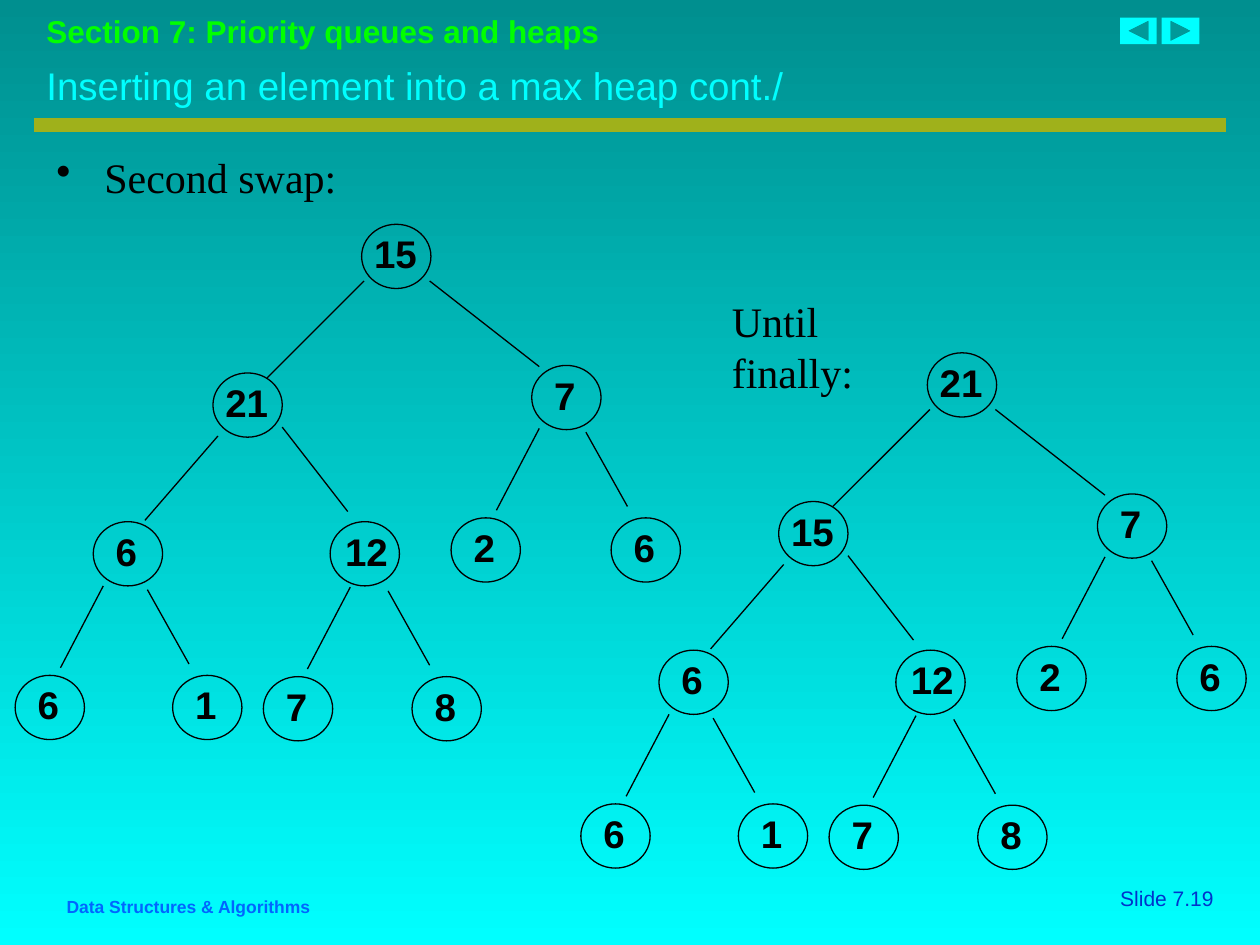
from dataclasses import dataclass

import pptx
import pptx.dml.color
import pptx.enum.shapes
import pptx.enum.text
import pptx.oxml
import pptx.oxml.ns
import pptx.util
from pptx.util import Inches

SHAPES = pptx.enum.shapes.MSO_SHAPE
ALIGN = pptx.enum.text.PP_ALIGN
ANCHOR = pptx.enum.text.MSO_ANCHOR


@dataclass(frozen=True)
class Style:
    font: str
    size: int
    color: str
    bold: bool = False


@dataclass(frozen=True)
class Theme:
    background_top: str = "008F8F"
    background_bottom: str = "00FFFF"
    button: str = "00FFFF"
    rule: str = "9FB11B"
    ink: str = "000000"
    rule_width: float = 8
    line_width: float = 0.75
    section: Style = Style("Arial", 18, "00FF00", True)
    title: Style = Style("Arial", 22, "00FFFF")
    body: Style = Style("Times New Roman", 24, "000000")
    node: Style = Style("Arial", 22, "000000", True)
    footer: Style = Style("Arial", 10, "0066FF", True)
    number: Style = Style("Arial", 12, "0033CC")


@dataclass(frozen=True)
class Node:
    left: float
    top: float
    label_inset: float = 0.08
    label_width: float = 0.39


@dataclass(frozen=True)
class Edge:
    x: float
    y: float
    across: float
    down: float


THEME = Theme()
NODE_WIDTH, NODE_HEIGHT, LABEL_HEIGHT = 0.55, 0.51, 0.47
SHORT_LEFT, SHORT_RIGHT = (-0.34, 0.65), (0.33, 0.59)

# Both heaps share one layout, listed level by level
NODES = [
    Node(2.87, 1.78, 0, 0.75),
    Node(1.69, 2.96, 0, 0.75), Node(4.22, 2.9),
    Node(0.74, 4.14), Node(2.62, 4.14, 0.02, 0.75), Node(3.58, 4.11), Node(4.85, 4.11),
    Node(0.12, 5.36), Node(1.37, 5.36), Node(2.09, 5.37), Node(3.27, 5.37),
]
EDGES = [
    Edge(2.89, 2.23, -0.77, 0.77), Edge(3.41, 2.23, 0.87, 0.68),
    Edge(1.73, 3.46, -0.58, 0.67), Edge(2.24, 3.39, 0.52, 0.67),
    Edge(4.28, 3.4, *SHORT_LEFT), Edge(4.65, 3.43, *SHORT_RIGHT),
    Edge(0.82, 4.65, *SHORT_LEFT), Edge(1.17, 4.68, *SHORT_RIGHT),
    Edge(2.78, 4.66, *SHORT_LEFT), Edge(3.08, 4.69, *SHORT_RIGHT),
]


def rgb(color: str) -> pptx.dml.color.RGBColor:
    return pptx.dml.color.RGBColor.from_string(color)


def add_text(slide, text: str, left: float, top: float, width: float, height: float,
             style: Style, align=ALIGN.LEFT, anchor=ANCHOR.TOP, bullet: bool = False) -> None:
    box = slide.shapes.add_textbox(Inches(left), Inches(top), Inches(width), Inches(height))
    frame = box.text_frame
    frame.word_wrap = True
    frame.vertical_anchor = anchor
    paragraph = frame.paragraphs[0]
    paragraph.alignment = align
    if bullet:
        properties = paragraph._p.get_or_add_pPr()
        properties.set("marL", str(Inches(0.38)))
        properties.set("indent", str(Inches(-0.38)))
        mark = pptx.oxml.ns.qn("a:buChar")
        properties.append(properties.makeelement(mark, {"char": "•"}))
    run = paragraph.add_run()
    run.text = text
    run.font.name = style.font
    run.font.size = pptx.util.Pt(style.size)
    run.font.bold = style.bold
    run.font.color.rgb = rgb(style.color)


def add_line(slide, x1: float, y1: float, x2: float, y2: float,
             color: str, width: float) -> None:
    line = slide.shapes.add_connector(
        pptx.enum.shapes.MSO_CONNECTOR.STRAIGHT,
        Inches(x1), Inches(y1), Inches(x2), Inches(y2))
    line.line.color.rgb = rgb(color)
    line.line.width = pptx.util.Pt(width)
    properties = line._element.spPr
    properties.append(properties.makeelement(pptx.oxml.ns.qn("a:effectLst"), {}))


def add_button(slide, kind, left: float, width: float) -> None:
    button = slide.shapes.add_shape(kind, Inches(left), Inches(0.14), Inches(width), Inches(0.21))
    button.shadow.inherit = False
    button.fill.solid()
    button.fill.fore_color.rgb = rgb(THEME.button)
    button.line.fill.background()


def add_node(slide, node: Node, label: str, dx: float, dy: float) -> None:
    left, top = node.left + dx, node.top + dy
    circle = slide.shapes.add_shape(SHAPES.OVAL, Inches(left), Inches(top),
                                    Inches(NODE_WIDTH), Inches(NODE_HEIGHT))
    circle.shadow.inherit = False
    circle.fill.background()
    circle.line.color.rgb = rgb(THEME.ink)
    circle.line.width = pptx.util.Pt(THEME.line_width)
    add_text(slide, label, left + node.label_inset, top,
             node.label_width, LABEL_HEIGHT, THEME.node)


def add_heap(slide, values: list[int], dx: float = 0, dy: float = 0) -> None:
    for edge in EDGES:
        x, y = edge.x + dx, edge.y + dy
        add_line(slide, x, y, x + edge.across, y + edge.down, THEME.ink, THEME.line_width)
    for node, value in zip(NODES, values):
        add_node(slide, node, str(value), dx, dy)


def main() -> None:
    presentation = pptx.Presentation()
    presentation.slide_width, presentation.slide_height = Inches(10), Inches(7.5)
    slide = presentation.slides.add_slide(presentation.slide_layouts[6])

    # Background gradient, dark at the top
    fill = slide.background.fill
    fill.gradient()
    fill.gradient_angle = 270
    for stop, color in zip(fill.gradient_stops, (THEME.background_top, THEME.background_bottom)):
        stop.color.rgb = rgb(color)

    # Header, navigation and footer
    add_text(slide, "Slide 7.19", 8.15, 6.98, 1.58, 0.3, THEME.number, ALIGN.RIGHT)
    add_line(slide, 0.27, 0.99, 9.73, 0.99, THEME.rule, THEME.rule_width)
    add_text(slide, "Section 7: Priority queues and heaps", 0.27, 0.05, 9.45, 0.4, THEME.section)
    add_button(slide, SHAPES.ACTION_BUTTON_FORWARD_OR_NEXT, 9.22, 0.3)
    add_button(slide, SHAPES.ACTION_BUTTON_BACK_OR_PREVIOUS, 8.89, 0.29)
    add_text(slide, "Data Structures & Algorithms", 0.43, 7.06, 3.07, 0.27, THEME.footer)
    add_text(slide, "Inserting an element into a max heap cont./",
             0.27, 0.44, 9.21, 0.47, THEME.title, anchor=ANCHOR.MIDDLE)

    # Heaps before and after the last swap
    add_text(slide, "Second swap:", 0.35, 1.15, 9.37, 5.91, THEME.body, bullet=True)
    add_heap(slide, [15, 21, 7, 6, 12, 2, 6, 6, 1, 7, 8])
    add_text(slide, "Until finally:", 5.71, 2.3, 1.72, 0.9, THEME.body)
    add_heap(slide, [21, 15, 7, 6, 12, 2, 6, 6, 1, 7, 8], dx=4.49, dy=1.02)

    presentation.save("out.pptx")


if __name__ == "__main__":
    main()
